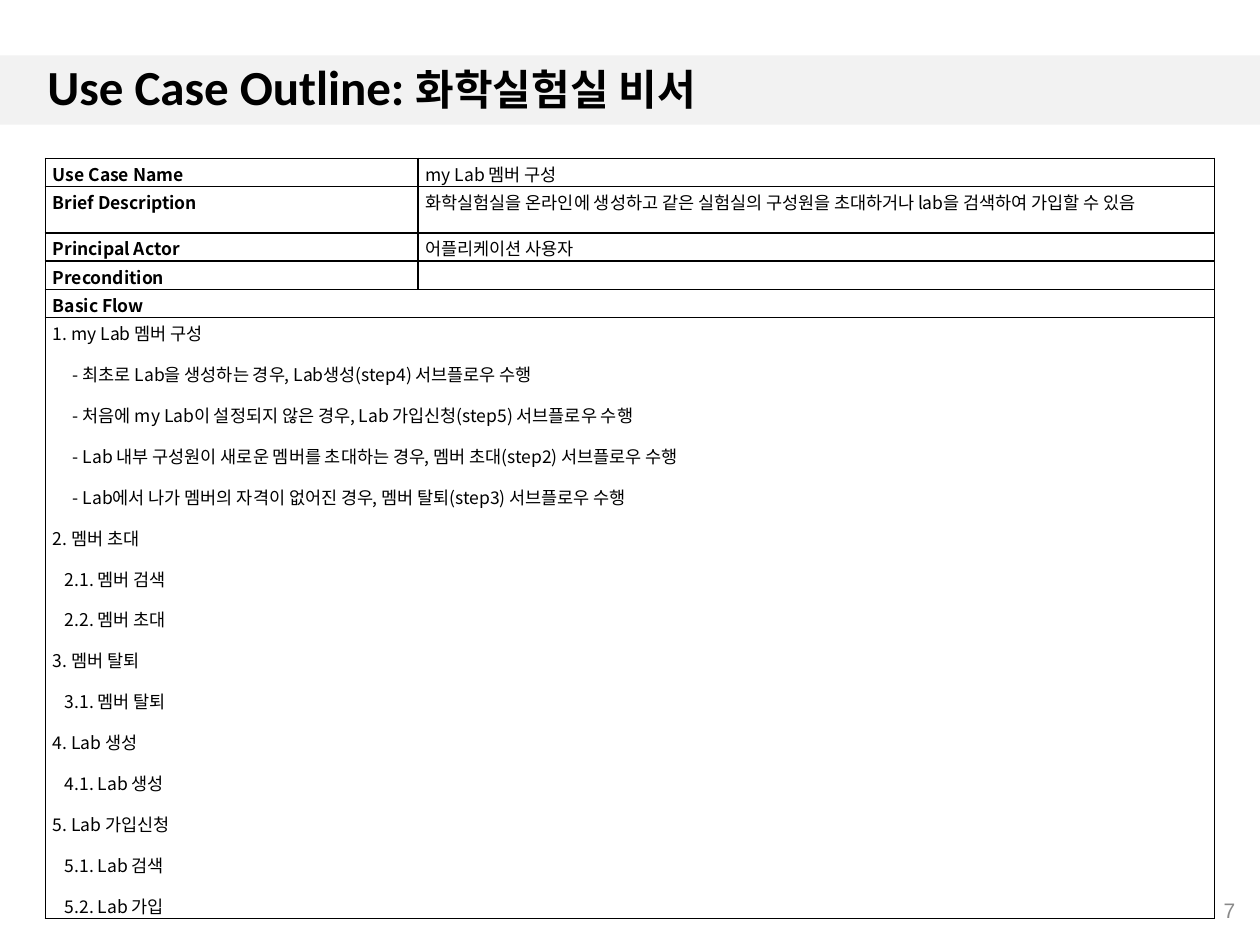
from typing import NamedTuple

from lxml.etree import SubElement
from pptx import Presentation
from pptx.dml.color import RGBColor
from pptx.enum.shapes import MSO_SHAPE as Preset
from pptx.enum.text import MSO_ANCHOR as Anchor, PP_ALIGN as Align
from pptx.oxml.ns import qn
from pptx.util import Pt

BLACK = RGBColor(0x00, 0x00, 0x00)
WHITE = RGBColor(0xFF, 0xFF, 0xFF)
BAND_GRAY = RGBColor(0xF2, 0xF2, 0xF2)
NUMBER_GRAY = RGBColor(0x89, 0x89, 0x89)
TABLE_FONT = "Noto Sans CJK KR"
TITLE_FONT = "Calibri"
BODY_SIZE = Pt(10)
LEVEL_INDENTS = (Pt(0), Pt(6.8), Pt(11.4))
COLUMN_WIDTHS = (Pt(213), Pt(455))


class Line(NamedTuple):
    text: str
    level: int = 0


class Row(NamedTuple):
    label: str
    value: str
    height: float = 15.9


ROWS = (
    Row("Use Case Name", "my Lab 멤버 구성"),
    Row("Brief Description",
        "화학실험실을 온라인에 생성하고 같은 실험실의 구성원을 초대하거나 lab을 검색하여 가입할 수 있음", 26.5),
    Row("Principal Actor", "어플리케이션 사용자"),
    Row("Precondition", ""),
)
HEADING_HEIGHT = 15.9
FLOW_HEIGHT = 304
FLOW = (
    Line("1. my Lab 멤버 구성"),
    Line("- 최초로 Lab을 생성하는 경우, Lab생성(step4) 서브플로우 수행", 2),
    Line("- 처음에 my Lab이 설정되지 않은 경우, Lab 가입신청(step5) 서브플로우 수행", 2),
    Line("- Lab 내부 구성원이 새로운 멤버를 초대하는 경우, 멤버 초대(step2) 서브플로우 수행", 2),
    Line("- Lab에서 나가 멤버의 자격이 없어진 경우, 멤버 탈퇴(step3) 서브플로우 수행", 2),
    Line("2. 멤버 초대"),
    Line("2.1. 멤버 검색", 1),
    Line("2.2. 멤버 초대", 1),
    Line("3. 멤버 탈퇴"),
    Line("3.1. 멤버 탈퇴", 1),
    Line("4. Lab 생성"),
    Line("4.1. Lab 생성", 1),
    Line("5. Lab 가입신청"),
    Line("5.1. Lab 검색", 1),
    Line("5.2. Lab 가입", 1),
)


def style_font(font, name: str, color: RGBColor, size=None, bold: bool = False) -> None:
    font.name, font.size, font.bold = name, size, bold
    font.color.rgb = color


def style_cell(cell) -> None:
    """Give a cell its margins, thin black borders and white fill."""
    cell.margin_left = cell.margin_right = Pt(4.3)
    cell.margin_top, cell.margin_bottom = Pt(0.7), Pt(0)
    properties = cell._tc.get_or_add_tcPr()
    for side in ("lnL", "lnR", "lnT", "lnB"):
        border = SubElement(properties, qn(f"a:{side}"), w=str(Pt(1)))
        fill = SubElement(border, qn("a:solidFill"))
        SubElement(fill, qn("a:srgbClr"), val=str(BLACK))
    cell.fill.solid()
    cell.fill.fore_color.rgb = WHITE


def write_cell(cell, lines: tuple[Line, ...], bold: bool = False) -> None:
    frame = cell.text_frame
    for index, line in enumerate(lines):
        paragraph = frame.add_paragraph() if index else frame.paragraphs[0]
        paragraph.text = line.text
        paragraph.alignment = Align.JUSTIFY
        paragraph.line_spacing = 1.07
        paragraph.space_after = Pt(8)
        if line.level:
            paragraph._p.get_or_add_pPr().set("marL", str(LEVEL_INDENTS[line.level]))
        style_font(paragraph.font, TABLE_FONT, BLACK, BODY_SIZE, bold)
        if not line.text:  # an empty cell needs its size at the paragraph end
            SubElement(paragraph._p, qn("a:endParaRPr"), sz=str(int(BODY_SIZE.pt * 100)))


def add_use_case_table(slide) -> None:
    heights = [row.height for row in ROWS] + [HEADING_HEIGHT, FLOW_HEIGHT]
    table = slide.shapes.add_table(len(heights), len(COLUMN_WIDTHS), Pt(26), Pt(90.5),
                                   sum(COLUMN_WIDTHS), Pt(sum(heights))).table
    table.first_row = table.horz_banding = False
    for column, width in zip(table.columns, COLUMN_WIDTHS):
        column.width = width
    for table_row, height in zip(table.rows, heights):
        table_row.height = Pt(height)
    for cell in table.iter_cells():
        style_cell(cell)

    # Label and value rows
    for index, row in enumerate(ROWS):
        write_cell(table.cell(index, 0), (Line(row.label),), bold=True)
        write_cell(table.cell(index, 1), (Line(row.value),))

    # Full-width flow rows
    heading = len(ROWS)
    for index in (heading, heading + 1):
        table.cell(index, 0).merge(table.cell(index, 1))
    write_cell(table.cell(heading, 0), (Line("Basic Flow"),), bold=True)
    write_cell(table.cell(heading + 1, 0), FLOW)


def add_text_line(slide, left: float, top: float, width: float, height: float):
    """Add a wrapped, vertically centred box and return its paragraph."""
    frame = slide.shapes.add_textbox(Pt(left), Pt(top), Pt(width), Pt(height)).text_frame
    frame.word_wrap = True
    frame.vertical_anchor = Anchor.MIDDLE
    return frame.paragraphs[0]


def main() -> None:
    presentation = Presentation()
    presentation.slide_width, presentation.slide_height = Pt(720), Pt(540)
    slide = presentation.slides.add_slide(presentation.slide_layouts[6])

    # Title band
    band = slide.shapes.add_shape(Preset.RECTANGLE, Pt(0), Pt(31.7), Pt(720), Pt(39.6))
    band.shadow.inherit = False
    band.fill.solid()
    band.fill.fore_color.rgb = BAND_GRAY
    band.line.fill.background()

    add_use_case_table(slide)

    # Title
    title = add_text_line(slide, 20, 31, 680, 40.3)
    title.line_spacing = 0.9
    style_font(title.font, TITLE_FONT, BLACK, bold=True)
    for text, size in (("Use Case Outline: ", 28), ("화학실험실 비서", 24)):
        run = title.add_run()
        run.text = text
        run.font.size = Pt(size)

    # Slide number
    number = add_text_line(slide, 551, 505.5, 162, 28.8)
    number.text = "7"
    number.alignment = Align.RIGHT
    style_font(number.font, "Arial", NUMBER_GRAY, Pt(12))

    presentation.save("out.pptx")


if __name__ == "__main__":
    main()
